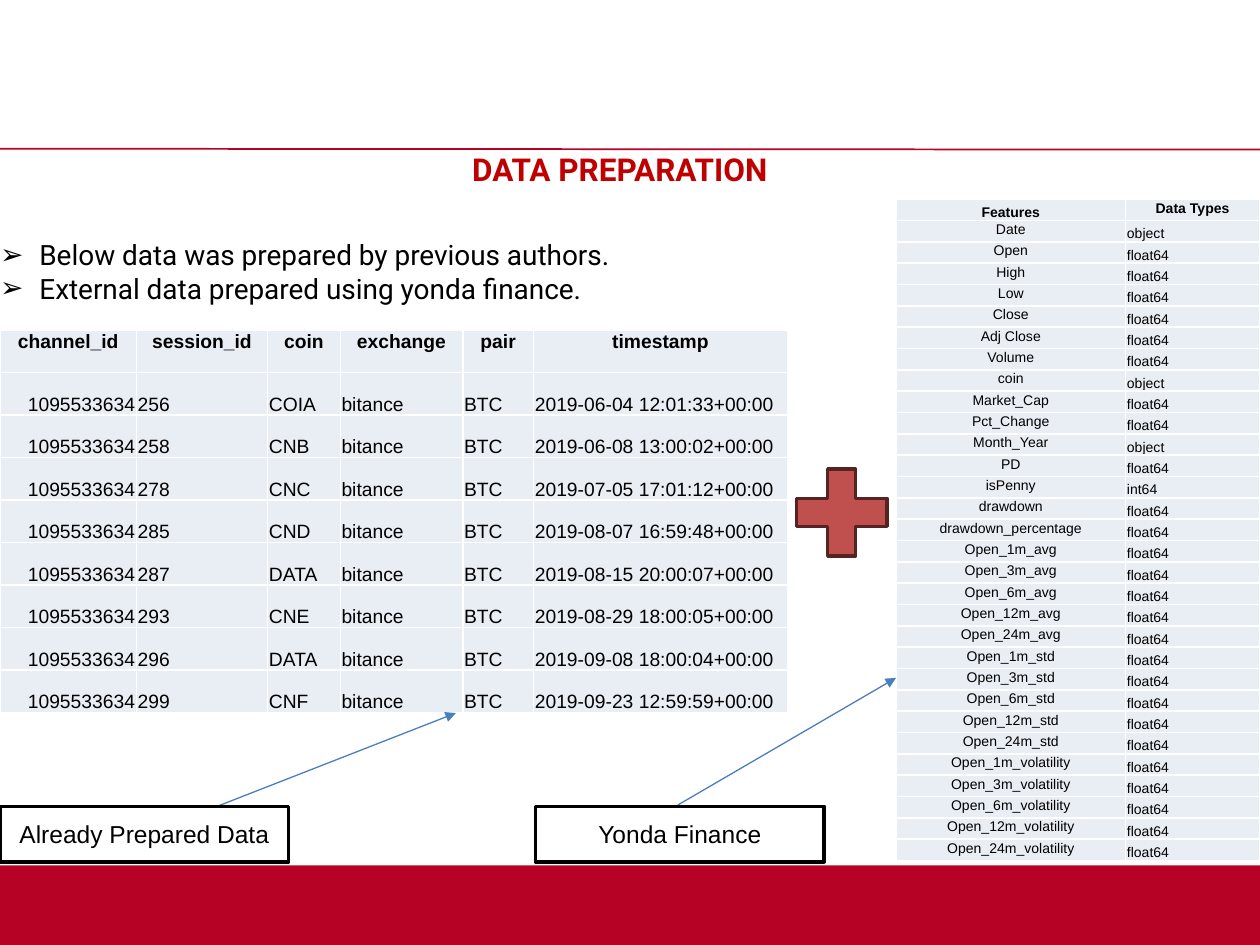
from lxml import etree
from pptx import Presentation
from pptx.dml.color import RGBColor
from pptx.enum.shapes import MSO_CONNECTOR, MSO_SHAPE
from pptx.enum.text import MSO_ANCHOR, PP_ALIGN
from pptx.oxml.ns import qn
from pptx.util import Pt

STRAIGHT = MSO_CONNECTOR.STRAIGHT
RECTANGLE, PLUS = MSO_SHAPE.RECTANGLE, MSO_SHAPE.MATH_PLUS
LEFT, CENTER, RIGHT = PP_ALIGN.LEFT, PP_ALIGN.CENTER, PP_ALIGN.RIGHT
TOP, MIDDLE, BOTTOM = MSO_ANCHOR.TOP, MSO_ANCHOR.MIDDLE, MSO_ANCHOR.BOTTOM

SESSIONS = [
    ("256", "COIA", "2019-06-04 12:01:33+00:00"),
    ("258", "CNB", "2019-06-08 13:00:02+00:00"),
    ("278", "CNC", "2019-07-05 17:01:12+00:00"),
    ("285", "CND", "2019-08-07 16:59:48+00:00"),
    ("287", "DATA", "2019-08-15 20:00:07+00:00"),
    ("293", "CNE", "2019-08-29 18:00:05+00:00"),
    ("296", "DATA", "2019-09-08 18:00:04+00:00"),
    ("299", "CNF", "2019-09-23 12:59:59+00:00"),
]
FEATURES = ["Date", "Open", "High", "Low", "Close", "Adj Close", "Volume", "coin",
            "Market_Cap", "Pct_Change", "Month_Year", "PD", "isPenny", "drawdown",
            "drawdown_percentage"]
FEATURES += [f"Open_{months}m_{statistic}"
             for statistic in ("avg", "std", "volatility")
             for months in (1, 3, 6, 12, 24)]
SPECIAL_TYPES = {"Date": "object", "coin": "object", "Month_Year": "object",
                 "isPenny": "int64"}


def color(hex_string):
    return RGBColor.from_string(hex_string)


def add_xml(parent, tag, **attributes):
    return etree.SubElement(parent, qn(tag), attributes)


class Deck:
    RED, TITLE_RED, BLACK, WHITE = "B60225", "C00000", "000000", "FFFFFF"
    CELL, ARROW, PLUS_FILL, PLUS_LINE = "E9EDF4", "4B7EBC", "C0504D", "542322"
    HEADING_FONT, BODY_FONT = "Roboto", "Arial"

    def __init__(self, width, height):
        self.presentation = Presentation()
        self.presentation.slide_width = Pt(width)
        self.presentation.slide_height = Pt(height)
        self.slide = self.presentation.slides.add_slide(
            self.presentation.slide_layouts[6])

    def style(self, paragraph, font, size, hex_color, bold=False, align=LEFT):
        paragraph.alignment = align
        paragraph.font.name = font
        paragraph.font.size = Pt(size)
        paragraph.font.bold = bold
        paragraph.font.color.rgb = color(hex_color)

    def text(self, left, top, width, height, lines, size, hex_color,
             bold=False, align=LEFT, bullet=None, indent=22.5):
        box = self.slide.shapes.add_textbox(Pt(left), Pt(top), Pt(width), Pt(height))
        frame = box.text_frame
        frame.word_wrap = True
        frame.margin_left = frame.margin_right = 0
        frame.margin_top = frame.margin_bottom = 0
        frame.text = "\n".join(lines)
        for paragraph in frame.paragraphs:
            self.style(paragraph, self.HEADING_FONT, size, hex_color, bold, align)
            if bullet:
                properties = paragraph._p.get_or_add_pPr()
                properties.set("marL", str(Pt(indent)))
                properties.set("indent", str(-Pt(indent)))
                bullet_font = add_xml(properties, "a:buFont", typeface=self.BODY_FONT)
                bullet_char = add_xml(properties, "a:buChar", char=bullet)
                default_run = properties.find(qn("a:defRPr"))
                default_run.addprevious(bullet_font)
                default_run.addprevious(bullet_char)

    def shape(self, kind, left, top, width, height, fill, line=None, label=None):
        shape = self.slide.shapes.add_shape(
            kind, Pt(left), Pt(top), Pt(width), Pt(height))
        shape.shadow.inherit = False
        shape.fill.solid()
        shape.fill.fore_color.rgb = color(fill)
        if line:
            shape.line.color.rgb = color(line)
            shape.line.width = Pt(2)
        else:
            shape.line.fill.background()
        if label:
            shape.text_frame.text = label
            shape.text_frame.vertical_anchor = MIDDLE
            self.style(shape.text_frame.paragraphs[0], self.BODY_FONT, 14,
                       self.BLACK, align=CENTER)

    def line(self, start, end, hex_color, weight, arrow=False):
        line = self.slide.shapes.add_connector(
            STRAIGHT, *(Pt(value) for value in (*start, *end)))
        line.line.color.rgb = color(hex_color)
        line.line.width = Pt(weight)
        if arrow:
            add_xml(line.line._get_or_add_ln(), "a:tailEnd", type="triangle")
        add_xml(line._element.spPr, "a:effectLst")

    def table(self, left, top, widths, row_height, rows, size, aligns,
              anchors, header_anchors):
        table = self.slide.shapes.add_table(
            len(rows), len(widths), Pt(left), Pt(top),
            Pt(sum(widths)), Pt(row_height * len(rows))).table
        table.first_row = table.horz_banding = False
        for column, width in zip(table.columns, widths):
            column.width = Pt(width)
        for r, values in enumerate(rows):
            table.rows[r].height = Pt(row_height)
            for c, value in enumerate(values):
                cell = table.cell(r, c)
                cell.text = value
                cell.margin_left = cell.margin_right = cell.margin_top = Pt(0.72)
                cell.margin_bottom = 0
                cell.vertical_anchor = anchors[c] if r else header_anchors[c]
                self.style(cell.text_frame.paragraphs[0], self.BODY_FONT, size,
                           self.BLACK, bold=r == 0, align=aligns[c] if r else CENTER)
                self.borders(cell)
                cell.fill.solid()
                cell.fill.fore_color.rgb = color(self.CELL)

    def borders(self, cell):
        properties = cell._tc.get_or_add_tcPr()
        for side in ("a:lnL", "a:lnR", "a:lnT", "a:lnB"):
            edge = add_xml(properties, side, w=str(Pt(1)))
            add_xml(add_xml(edge, "a:solidFill"), "a:srgbClr", val=self.WHITE)


def main():
    deck = Deck(720, 540)
    deck.shape(RECTANGLE, 0, 494.5, 720, 45.5, deck.RED)
    deck.line((0, 85), (720, 85.5), deck.RED, 1)
    deck.text(0, 85.5, 708.5, 21, ["DATA PREPARATION"], 18, deck.TITLE_RED,
              bold=True, align=CENTER)
    deck.text(0, 136, 500, 38,
              ["Below data was prepared by previous authors.",
               "External data prepared using yonda finance."],
              16, deck.BLACK, bullet="➢")

    sessions = [("channel_id", "session_id", "coin", "exchange", "pair", "timestamp")]
    sessions += [("1095533634", session, coin, "bitance", "BTC", timestamp)
                 for session, coin, timestamp in SESSIONS]
    deck.table(0, 188.6, (78, 75, 41.5, 70, 40.5, 145), 24.3, sessions, 11,
               [RIGHT] + [LEFT] * 5, [BOTTOM] * 6, [TOP] * 6)

    features = [("Features", "Data Types")]
    features += [(name, SPECIAL_TYPES.get(name, "float64")) for name in FEATURES]
    deck.table(512, 113.8, (131.3, 76.5), 12.2, features, 8,
               (CENTER, LEFT), (TOP, BOTTOM), (BOTTOM, TOP))

    deck.shape(PLUS, 445.7, 259, 70.5, 67.7, deck.PLUS_FILL, deck.PLUS_LINE)
    deck.line((124, 460.8), (260.5, 407.5), deck.ARROW, 0.75, arrow=True)
    deck.line((387.4, 460), (512, 387.4), deck.ARROW, 0.75, arrow=True)
    for left, source in ((0, "Already Prepared Data"), (306, "Yonda Finance")):
        deck.shape(RECTANGLE, left, 460.8, 165, 31.7, deck.WHITE, deck.BLACK, source)
    deck.presentation.save("out.pptx")


if __name__ == "__main__":
    main()
